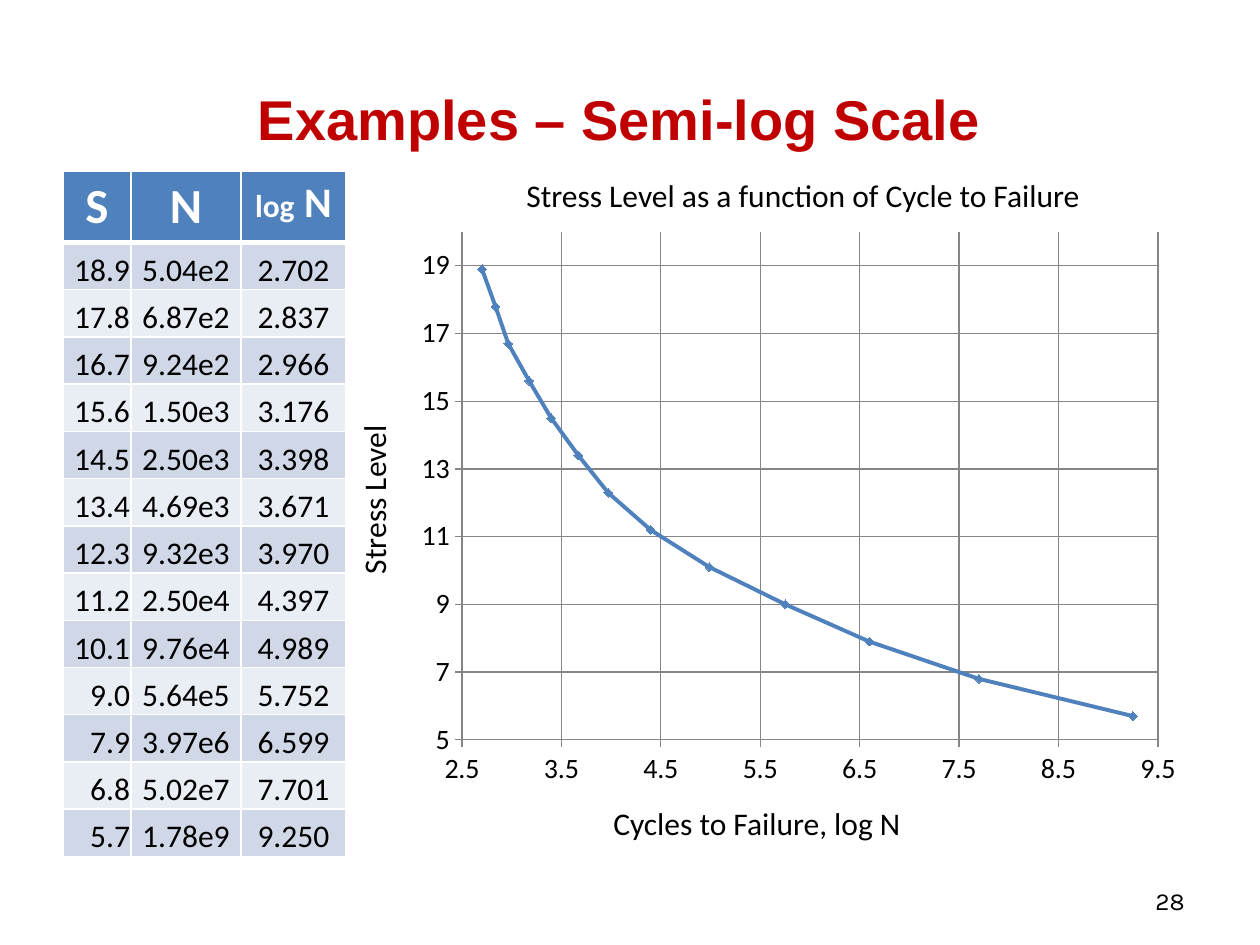
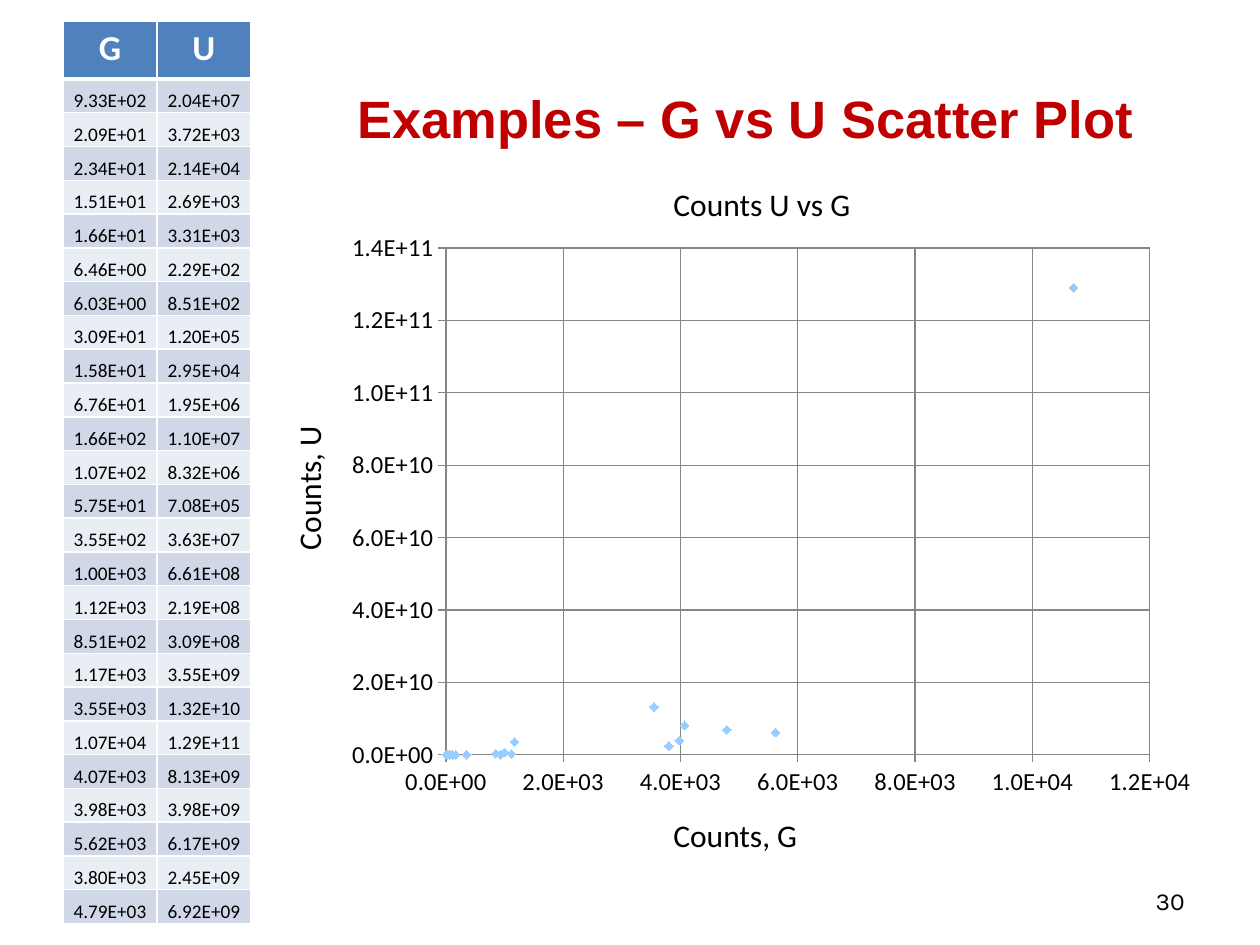
from dataclasses import dataclass
from typing import Optional

from lxml.etree import SubElement
from pptx import Presentation
from pptx.chart.data import XyChartData
from pptx.dml.color import RGBColor
from pptx.enum.chart import XL_AXIS_CROSSES, XL_CHART_TYPE, XL_MARKER_STYLE, XL_TICK_MARK
from pptx.enum.text import MSO_ANCHOR, PP_ALIGN
from pptx.oxml.ns import qn
from pptx.util import Emu, Pt

PX = 914400 // 126  # EMU in one pixel


@dataclass(frozen=True)
class Theme:
    title: str = "C00000"
    ink: str = "000000"
    white: str = "FFFFFF"
    accent: str = "4F81BD"
    pale_marker: str = "99CCFF"
    grid: str = "868686"
    bands: tuple = ("D0D8E8", "E9EDF4")
    head_font: str = "Arial"
    body_font: str = "Calibri"
    number_font: str = "Karla"
    label_size: int = 18
    number_size: int = 14


THEME = Theme()


@dataclass(frozen=True)
class Box:
    x: int
    y: int
    w: int
    h: int

    def emu(self) -> tuple:
        return tuple(Emu(v * PX) for v in (self.x, self.y, self.w, self.h))


@dataclass(frozen=True)
class Label:
    text: str
    box: Box
    rotation: int = 0
    wrap: bool = False


@dataclass(frozen=True)
class DataTable:
    box: Box
    widths: tuple
    head: tuple  # each heading is a tuple of (text, size) runs
    head_height: int
    rows: list
    size: int
    first_align: PP_ALIGN = PP_ALIGN.CENTER


@dataclass(frozen=True)
class Axis:
    low: float
    high: float
    step: float
    fmt: str


@dataclass(frozen=True)
class Scatter:
    box: Box
    plot: Box
    points: list
    x_axis: Axis
    y_axis: Axis
    size: int
    marker: str
    line: Optional[str] = None


TITLE_BOX = Box(84, 39, 1071, 158)
NUMBER_BOX = Box(903, 876, 294, 50)


def rgb(value: str) -> RGBColor:
    return RGBColor.from_string(value)


def write_text(tf, runs, *, size: int = THEME.label_size, color: str = THEME.ink,
               font: str = THEME.body_font, bold: bool = False,
               align: PP_ALIGN = PP_ALIGN.LEFT) -> None:
    """Fill one paragraph from a string or from (text, size) runs."""
    p = tf.paragraphs[0]
    p.alignment = align
    for text, run_size in [(runs, size)] if isinstance(runs, str) else runs:
        r = p.add_run()
        r.text = text
        r.font.size, r.font.name, r.font.bold = Pt(run_size), font, bold
        r.font.color.rgb = rgb(color)


def add_title(s, text: str, size: int, indent: int = 0) -> None:
    tf = s.shapes.add_textbox(*TITLE_BOX.emu()).text_frame
    tf.word_wrap, tf.vertical_anchor = True, MSO_ANCHOR.MIDDLE
    tf.margin_left += indent * PX
    write_text(tf, text, size=size, color=THEME.title, font=THEME.head_font,
               bold=True, align=PP_ALIGN.CENTER)


def add_number(s, number: int) -> None:
    tf = s.shapes.add_textbox(*NUMBER_BOX.emu()).text_frame
    tf.word_wrap, tf.vertical_anchor = True, MSO_ANCHOR.MIDDLE
    write_text(tf, str(number), size=THEME.number_size, font=THEME.number_font,
               align=PP_ALIGN.RIGHT)


def add_label(s, label: Label) -> None:
    sp = s.shapes.add_textbox(*label.box.emu())
    sp.rotation = label.rotation
    sp.text_frame.word_wrap = label.wrap
    write_text(sp.text_frame, label.text)


def style_cell(cell, fill: str, top: int = 1, bottom: int = 1) -> None:
    """Give a cell white borders, with widths in points, and a fill."""
    tc_pr = cell._tc.get_or_add_tcPr()
    for side, width in (("L", 1), ("R", 1), ("T", top), ("B", bottom)):
        ln = SubElement(tc_pr, qn(f"a:ln{side}"), w=str(Pt(width)))
        SubElement(SubElement(ln, qn("a:solidFill")), qn("a:srgbClr"), val=THEME.white)
    cell.fill.solid()
    cell.fill.fore_color.rgb = rgb(fill)


def add_data_table(s, spec: DataTable) -> None:
    count = len(spec.rows)
    table = s.shapes.add_table(count + 1, len(spec.widths), *spec.box.emu()).table
    table.first_row = table.horz_banding = False
    for column, width in zip(table.columns, spec.widths):
        column.width = Emu(width * PX)
    table.rows[0].height = Emu(spec.head_height * PX)
    for c, runs in enumerate(spec.head):
        cell = table.cell(0, c)
        style_cell(cell, THEME.accent, bottom=3)
        write_text(cell.text_frame, runs, color=THEME.white, bold=True, align=PP_ALIGN.CENTER)
    for i, values in enumerate(spec.rows):
        table.rows[i + 1].height = Emu((spec.box.h - spec.head_height) * PX // count)
        for c, value in enumerate(values):
            cell = table.cell(i + 1, c)
            style_cell(cell, THEME.bands[i % 2], top=1 if i else 3)
            cell.margin_left = cell.margin_right = cell.margin_top = Emu(PX)
            cell.margin_bottom = 0
            cell.vertical_anchor = MSO_ANCHOR.BOTTOM
            write_text(cell.text_frame, value, size=spec.size,
                       align=PP_ALIGN.CENTER if c else spec.first_align)


def style_axis(axis, spec: Axis, size: int) -> None:
    axis.minimum_scale, axis.maximum_scale = spec.low, spec.high
    axis.major_unit = spec.step
    axis.crosses = XL_AXIS_CROSSES.MINIMUM
    axis.has_major_gridlines = True
    axis.major_tick_mark, axis.minor_tick_mark = XL_TICK_MARK.OUTSIDE, XL_TICK_MARK.NONE
    for line in (axis.major_gridlines.format.line, axis.format.line):
        line.width = Pt(0.75)
        line.color.rgb = rgb(THEME.grid)
    labels = axis.tick_labels
    labels.number_format, labels.number_format_is_linked = spec.fmt, False
    labels.font.size = Pt(size)


def place_plot(chart, box: Box, plot: Box) -> None:
    """Fix the inner plot area as fractions of the chart."""
    area = chart._chartSpace.chart.plotArea
    for old in area.findall(qn("c:layout")):
        area.remove(old)
    layout = SubElement(area, qn("c:layout"))
    area.insert(0, layout)
    manual = SubElement(layout, qn("c:manualLayout"))
    fractions = {"x": (plot.x - box.x) / box.w, "y": (plot.y - box.y) / box.h,
                 "w": plot.w / box.w, "h": plot.h / box.h}
    settings = {"layoutTarget": "inner", "xMode": "edge", "yMode": "edge", **fractions}
    for name, value in settings.items():
        SubElement(manual, qn(f"c:{name}"), val=str(value))


def add_scatter(s, spec: Scatter) -> None:
    data = XyChartData()
    series = data.add_series("Series 1")
    for x, y in spec.points:
        series.add_data_point(float(x), float(y))
    kind = XL_CHART_TYPE.XY_SCATTER_SMOOTH if spec.line else XL_CHART_TYPE.XY_SCATTER
    chart = s.shapes.add_chart(kind, *spec.box.emu(), data).chart
    chart.has_title = chart.has_legend = False
    chart.font.name, chart.font.size = THEME.body_font, Pt(10)
    chart.font.color.rgb = rgb(THEME.ink)
    style_axis(chart.category_axis, spec.x_axis, spec.size)
    style_axis(chart.value_axis, spec.y_axis, spec.size)
    place_plot(chart, spec.box, spec.plot)
    plot = chart.plots[0]
    plot.vary_by_categories = False
    curve = plot.series[0]
    if spec.line:
        curve.format.line.width = Pt(2.25)
        curve.format.line.color.rgb = rgb(spec.line)
    else:
        curve.format.line.fill.background()
    curve.marker.style, curve.marker.size = XL_MARKER_STYLE.DIAMOND, 5
    curve.marker.format.fill.solid()
    curve.marker.format.fill.fore_color.rgb = rgb(spec.marker)
    curve.marker.format.line.color.rgb = rgb(spec.marker)


def add_slide(prs, title: str, title_size: int, number: int, table: DataTable,
              scatter: Scatter, labels: list, title_indent: int = 0) -> None:
    s = prs.slides.add_slide(prs.slide_layouts[6])
    add_number(s, number)
    add_title(s, title, title_size, title_indent)
    add_data_table(s, table)
    add_scatter(s, scatter)
    for label in labels:
        add_label(s, label)


# Measurements; the charts plot the table values
FATIGUE = [line.split() for line in """18.9 5.04e2 2.702
17.8 6.87e2 2.837
16.7 9.24e2 2.966
15.6 1.50e3 3.176
14.5 2.50e3 3.398
13.4 4.69e3 3.671
12.3 9.32e3 3.970
11.2 2.50e4 4.397
10.1 9.76e4 4.989
9.0 5.64e5 5.752
7.9 3.97e6 6.599
6.8 5.02e7 7.701
5.7 1.78e9 9.250""".splitlines()]

G_COUNTS = """9.33E+02 2.09E+01 2.34E+01 1.51E+01 1.66E+01 6.46E+00 6.03E+00 3.09E+01 1.58E+01
6.76E+01 1.66E+02 1.07E+02 5.75E+01 3.55E+02 1.00E+03 1.12E+03 8.51E+02 1.17E+03
3.55E+03 1.07E+04 4.07E+03 3.98E+03 5.62E+03 3.80E+03 4.79E+03""".split()
U_COUNTS = """2.04E+07 3.72E+03 2.14E+04 2.69E+03 3.31E+03 2.29E+02 8.51E+02 1.20E+05 2.95E+04
1.95E+06 1.10E+07 8.32E+06 7.08E+05 3.63E+07 6.61E+08 2.19E+08 3.09E+08 3.55E+09
1.32E+10 1.29E+11 8.13E+09 3.98E+09 6.17E+09 2.45E+09 6.92E+09""".split()
COUNTS = list(zip(G_COUNTS, U_COUNTS))

prs = Presentation()
prs.slide_width, prs.slide_height = Emu(1260 * PX), Emu(945 * PX)

# Semi-log example
add_slide(
    prs, "Examples – Semi-log Scale", 32, 28,
    DataTable(Box(63, 171, 283, 684), (68, 110, 105),
              ((("S", 28),), (("N", 28),), (("log", 18), (" N", 24))),
              70, FATIGUE, 18, PP_ALIGN.RIGHT),
    Scatter(Box(399, 215, 798, 577), Box(462, 232, 696, 508),
            [(log_n, stress) for stress, _, log_n in FATIGUE],
            Axis(2.5, 9.5, 1, "0.0"), Axis(5, 20, 2, "0"), 16, THEME.accent, THEME.accent),
    [Label("Stress Level as a function of Cycle to Failure", Box(514, 170, 588, 50), wrap=True),
     Label("Stress Level", Box(286, 474, 175, 50), 270),
     Label("Cycles to Failure, log N", Box(601, 798, 316, 50))])

# Scatter example
add_slide(
    prs, "Examples – G vs U Scatter Plot", 30, 30,
    DataTable(Box(63, 21, 188, 903), (94, 94), ((("G", 20),), (("U", 20),)), 58, COUNTS, 11),
    Scatter(Box(335, 220, 873, 590), Box(446, 248, 704, 507), COUNTS,
            Axis(0, 12000, 2000, "0.0E+00"), Axis(0, 1.4e11, 2e10, "0.0E+00"),
            14, THEME.pale_marker),
    [Label("Counts U vs G", Box(661, 179, 221, 50), wrap=True),
     Label("Counts, U", Box(233, 462, 151, 50), 270),
     Label("Counts, G", Box(661, 810, 151, 50))],
    title_indent=252)

prs.save("out.pptx")
